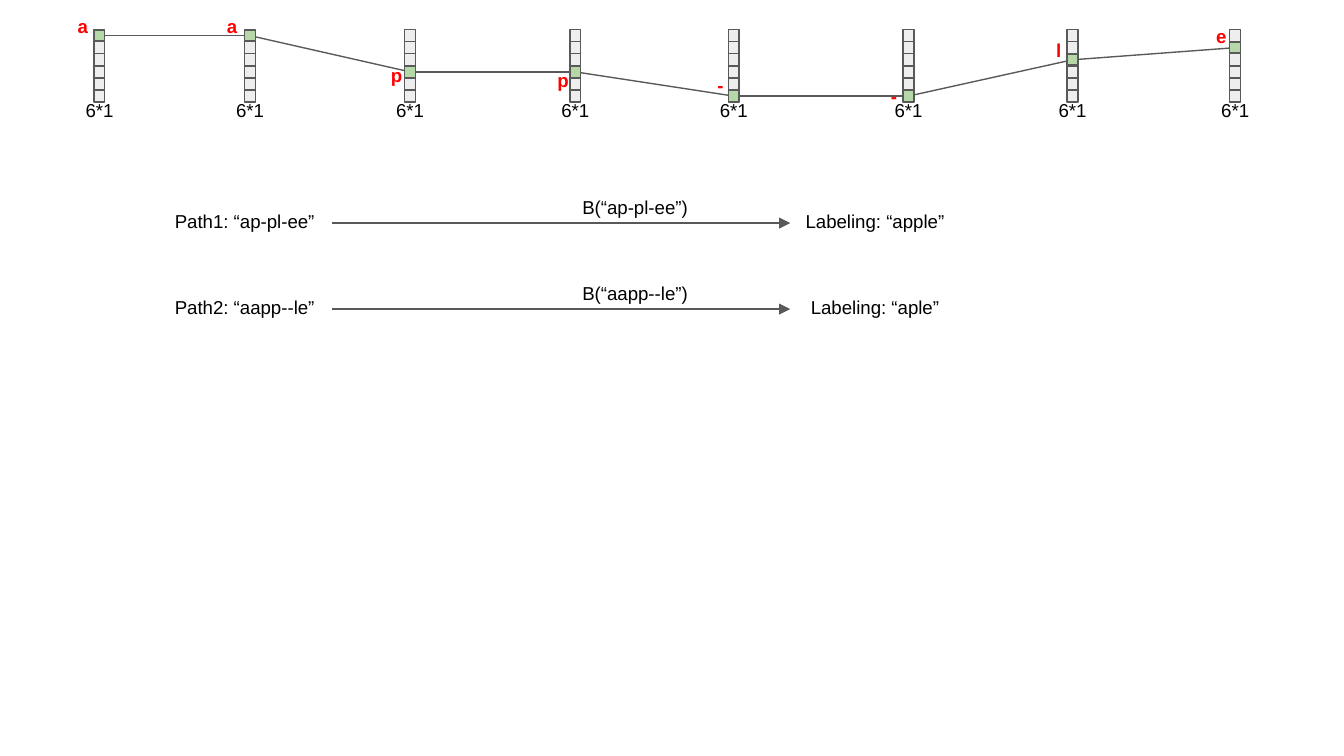
from pptx import Presentation
from pptx.dml.color import RGBColor
from pptx.enum.shapes import MSO_CONNECTOR, MSO_SHAPE
from pptx.enum.text import MSO_ANCHOR, PP_ALIGN
from pptx.oxml.ns import qn
from pptx.util import Inches, Pt
from lxml import etree

STRAIGHT = MSO_CONNECTOR.STRAIGHT
RECTANGLE = MSO_SHAPE.RECTANGLE
TOP, MIDDLE = MSO_ANCHOR.TOP, MSO_ANCHOR.MIDDLE
LEFT, CENTER = PP_ALIGN.LEFT, PP_ALIGN.CENTER

BLACK = RGBColor(0x00, 0x00, 0x00)
RED = RGBColor(0xFF, 0x00, 0x00)
DARK_GRAY = RGBColor(0x59, 0x59, 0x59)
LIGHT_GRAY = RGBColor(0xEE, 0xEE, 0xEE)
GREEN = RGBColor(0xB6, 0xD7, 0xA8)

COLUMN_TOP, COLUMN_WIDTH = 0.22, 0.08
CELL_COUNT, CELL_PITCH, CELL_SIZE = 6, 0.09, 0.08
LABEL_WIDTH = 0.59

presentation = Presentation()
presentation.slide_width = Inches(10)
presentation.slide_height = Inches(10 * 9 / 16)
slide = presentation.slides.add_slide(presentation.slide_layouts[6])


def add_text(text, left, top, width, height, color=BLACK, bold=False, align=CENTER, anchor=TOP):
    box = slide.shapes.add_textbox(Inches(left), Inches(top), Inches(width), Inches(height))
    frame = box.text_frame
    frame.word_wrap = True
    frame.vertical_anchor = anchor
    frame.margin_left = frame.margin_right = Inches(0.1)
    frame.margin_top = frame.margin_bottom = Inches(0.1)
    paragraph = frame.paragraphs[0]
    paragraph.text = text
    paragraph.alignment = align
    font = paragraph.runs[0].font
    font.name = "Arial"
    font.size = Pt(10)
    font.bold = bold
    font.color.rgb = color
    return box


def add_line(start_x, start_y, end_x, end_y):
    line = slide.shapes.add_connector(
        STRAIGHT, Inches(start_x), Inches(start_y), Inches(end_x), Inches(end_y))
    line.line.color.rgb = DARK_GRAY
    line.line.width = Pt(0.75)
    etree.SubElement(line._element.spPr, qn("a:effectLst"))
    return line


time_steps = [
    (0.70, 0, "a", 0.48, 0.12),
    (1.82, 0, "a", 1.59, 0.12),
    (3.01, 3, "p", 2.81, 0.48),
    (4.24, 3, "p", 4.05, 0.52),
    (5.42, 5, "-", 5.24, 0.56),
    (6.72, 5, "-", 6.53, 0.64),
    (7.94, 2, "l", 7.76, 0.30),
    (9.15, 1, "e", 8.95, 0.19),
]

columns = [(left, COLUMN_TOP, CELL_COUNT * CELL_PITCH, LIGHT_GRAY) for left, *_ in time_steps]
cells = [(left, COLUMN_TOP + row * CELL_PITCH + (CELL_PITCH - CELL_SIZE) / 2, CELL_SIZE, GREEN)
         for left, row, *_ in time_steps]
centers = [(left + COLUMN_WIDTH / 2, top + CELL_SIZE / 2) for left, top, *_ in cells]

for layer in (columns, cells):
    for left, top, height, color in layer:
        rectangle = slide.shapes.add_shape(
            RECTANGLE, Inches(left), Inches(top), Inches(COLUMN_WIDTH), Inches(height))
        rectangle.shadow.inherit = False
        rectangle.fill.solid()
        rectangle.fill.fore_color.rgb = color
        rectangle.line.color.rgb = DARK_GRAY
        rectangle.line.width = Pt(0.75)
    if layer is columns:
        for left, *_ in time_steps:
            for row in range(1, CELL_COUNT):
                divider_y = COLUMN_TOP + row * CELL_PITCH
                add_line(left, divider_y, left + COLUMN_WIDTH, divider_y)
        for start, end in zip(centers, centers[1:]):
            add_line(*start, *end)

for left, row, letter, letter_left, letter_top in time_steps:
    add_text("6*1", left + (COLUMN_WIDTH - LABEL_WIDTH) / 2, 0.65, LABEL_WIDTH, 0.22)
    add_text(letter, letter_left, letter_top, 0.23, 0.15,
             color=RED, bold=True, align=LEFT, anchor=MIDDLE)

mappings = [
    (1.48, "Path1: “ap-pl-ee”", "B(“ap-pl-ee”)", "Labeling: “apple”"),
    (2.12, "Path2: “aapp--le”", "B(“aapp--le”)", "Labeling: “aple”"),
]
for top, path_text, function_text, labeling_text in mappings:
    path_box = add_text(path_text, 1.17, top, 1.3, 0.36)
    labeling_box = add_text(labeling_text, 5.88, top, 1.26, 0.36)
    add_text(function_text, 4.16, top - 0.11, 1.13, 0.29)
    arrow = add_line(2.47, top + 0.18, 5.88, top + 0.18)
    arrow.begin_connect(path_box, 3)
    arrow.end_connect(labeling_box, 1)
    outline = arrow._element.spPr.find(qn("a:ln"))
    etree.SubElement(outline, qn("a:tailEnd"), type="triangle", w="med", len="med")

presentation.save("out.pptx")
